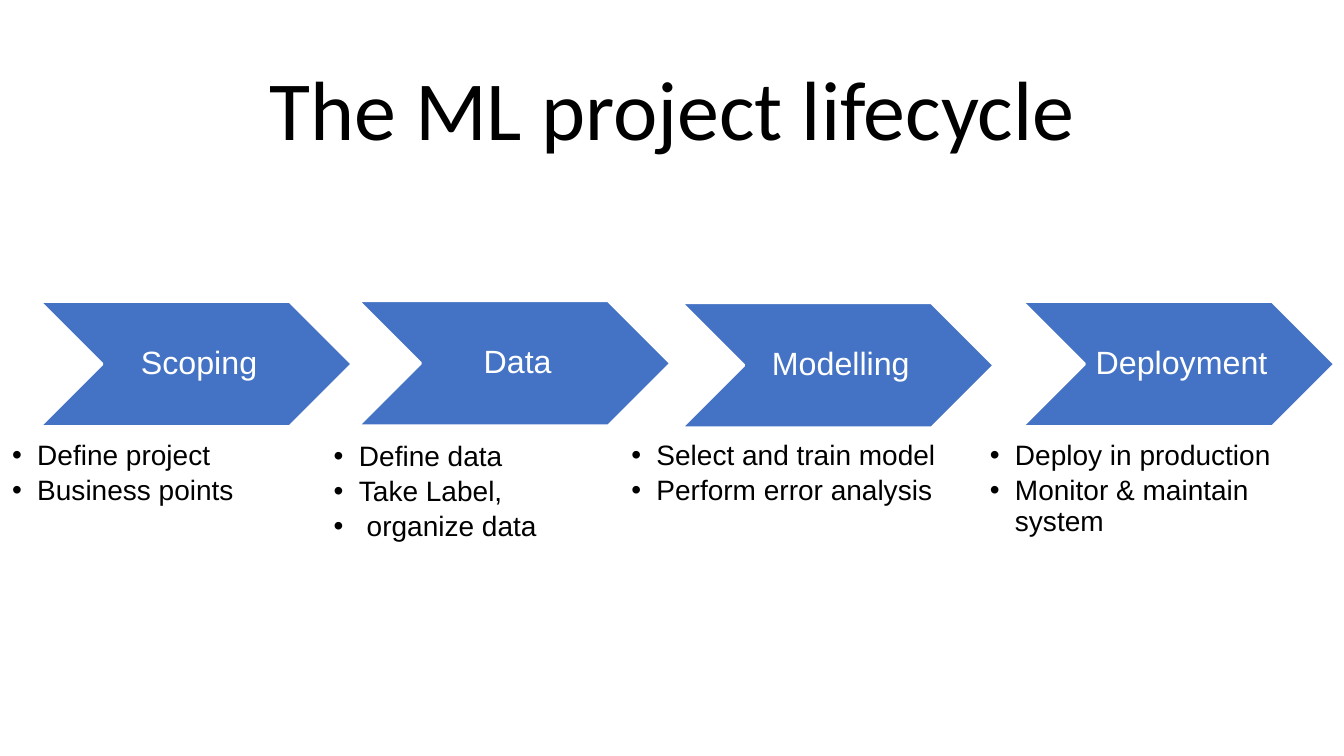
import dataclasses
import typing

import lxml.etree
import pptx
import pptx.dml.color
import pptx.enum.shapes
import pptx.enum.text
import pptx.oxml.ns
import pptx.util

Pt = pptx.util.Pt
Align = pptx.enum.text.PP_ALIGN
Anchor = pptx.enum.text.MSO_ANCHOR

BLUE, WHITE, BLACK = "4472C4", "FFFFFF", "000000"
CHEVRON_WIDTH, CHEVRON_HEIGHT = 223.3, 89.3
LIST_INDENT = 18


@dataclasses.dataclass
class Stage:
    name: str
    left: float
    top: float
    list_box: tuple[float, float, float, float]
    points: list[str]


STAGES = [
    Stage("Scoping", 28.3, 215.4, (8.6, 315.4, 217.4, 76.3),
          ["Define project", "Business points"]),
    Stage("Data", 255.8, 214.9, (238.4, 316.1, 200.2, 62.6),
          ["Define data", "Take Label,", " organize data"]),
    Stage("Modelling", 486.7, 216.3, (450.9, 315.4, 272.9, 76.3),
          ["Select and train model", "Perform error analysis"]),
    Stage("Deployment", 730.1, 215.4, (707, 315.4, 223.9, 76.3),
          ["Deploy in production", "Monitor & maintain system"]),
]


def color(value: str) -> pptx.dml.color.RGBColor:
    return pptx.dml.color.RGBColor.from_string(value)


def apply(target: typing.Any, values: dict[str, typing.Any]) -> None:
    for name, value in values.items():
        setattr(target, name, value)


def place(shape: typing.Any, left: float, top: float, width: float, height: float) -> None:
    apply(shape, {"left": Pt(left), "top": Pt(top), "width": Pt(width), "height": Pt(height)})


def format_frame(frame: typing.Any, anchor: Anchor, wrap: bool,
                 margins: tuple[float, float, float, float]) -> None:
    left, top, right, bottom = margins
    apply(frame, {
        "auto_size": pptx.enum.text.MSO_AUTO_SIZE.NONE,
        "vertical_anchor": anchor,
        "word_wrap": wrap,
        "margin_left": Pt(left),
        "margin_top": Pt(top),
        "margin_right": Pt(right),
        "margin_bottom": Pt(bottom),
    })


def write(paragraph: typing.Any, text: str, font: str, size: float, text_color: str,
          alignment: Align, space_after: float = 0) -> None:
    paragraph.text = text
    apply(paragraph, {"alignment": alignment, "line_spacing": 0.9,
                      "space_before": Pt(0), "space_after": Pt(space_after)})
    apply(paragraph.font, {"name": font, "size": Pt(size), "bold": False})
    paragraph.font.color.rgb = color(text_color)


def add_bullet(paragraph: typing.Any) -> None:
    properties = paragraph._p.get_or_add_pPr()
    properties.set("marL", str(Pt(LIST_INDENT)))
    properties.set("indent", str(-Pt(LIST_INDENT)))
    bullet = lxml.etree.Element(pptx.oxml.ns.qn("a:buChar"), char="•")
    properties.find(pptx.oxml.ns.qn("a:spcAft")).addnext(bullet)


def draw_title(title: typing.Any, text: str) -> None:
    place(title, 66.2, 28.8, 828, 104.4)
    format_frame(title.text_frame, Anchor.MIDDLE, True, (3.6, 3.6, 3.6, 3.6))
    write(title.text_frame.paragraphs[0], text, "Calibri", 60, BLACK, Align.CENTER)


def draw_chevron(slide: typing.Any, stage: Stage) -> None:
    shape = slide.shapes.add_shape(
        pptx.enum.shapes.MSO_SHAPE.CHEVRON, Pt(stage.left), Pt(stage.top),
        Pt(CHEVRON_WIDTH), Pt(CHEVRON_HEIGHT))
    shape.shadow.inherit = False
    shape.fill.solid()
    shape.fill.fore_color.rgb = color(BLUE)
    shape.line.color.rgb = color(WHITE)
    shape.line.width = Pt(2)
    format_frame(shape.text_frame, Anchor.MIDDLE, False, (7.2, 2.4, 2.4, 2.4))
    write(shape.text_frame.paragraphs[0], stage.name, "Arial", 23, WHITE, Align.CENTER)


def draw_list(body: typing.Any, stage: Stage) -> None:
    place(body, *stage.list_box)
    frame = body.text_frame
    format_frame(frame, Anchor.TOP, True, (0, 0, 0, 0))
    for index, point in enumerate(stage.points):
        paragraph = frame.add_paragraph() if index else frame.paragraphs[0]
        write(paragraph, point, "Arial", 20, BLACK, Align.LEFT, space_after=3.5)
        add_bullet(paragraph)


def main() -> None:
    presentation = pptx.Presentation()
    apply(presentation, {"slide_width": Pt(960), "slide_height": Pt(540)})
    comparison_layout = presentation.slide_layouts[4]
    slide = presentation.slides.add_slide(comparison_layout)
    title, *bodies = slide.placeholders
    draw_title(title, "The ML project lifecycle")
    for stage, body in zip(STAGES, bodies):
        draw_chevron(slide, stage)
        draw_list(body, stage)
    presentation.save("out.pptx")


if __name__ == "__main__":
    main()
